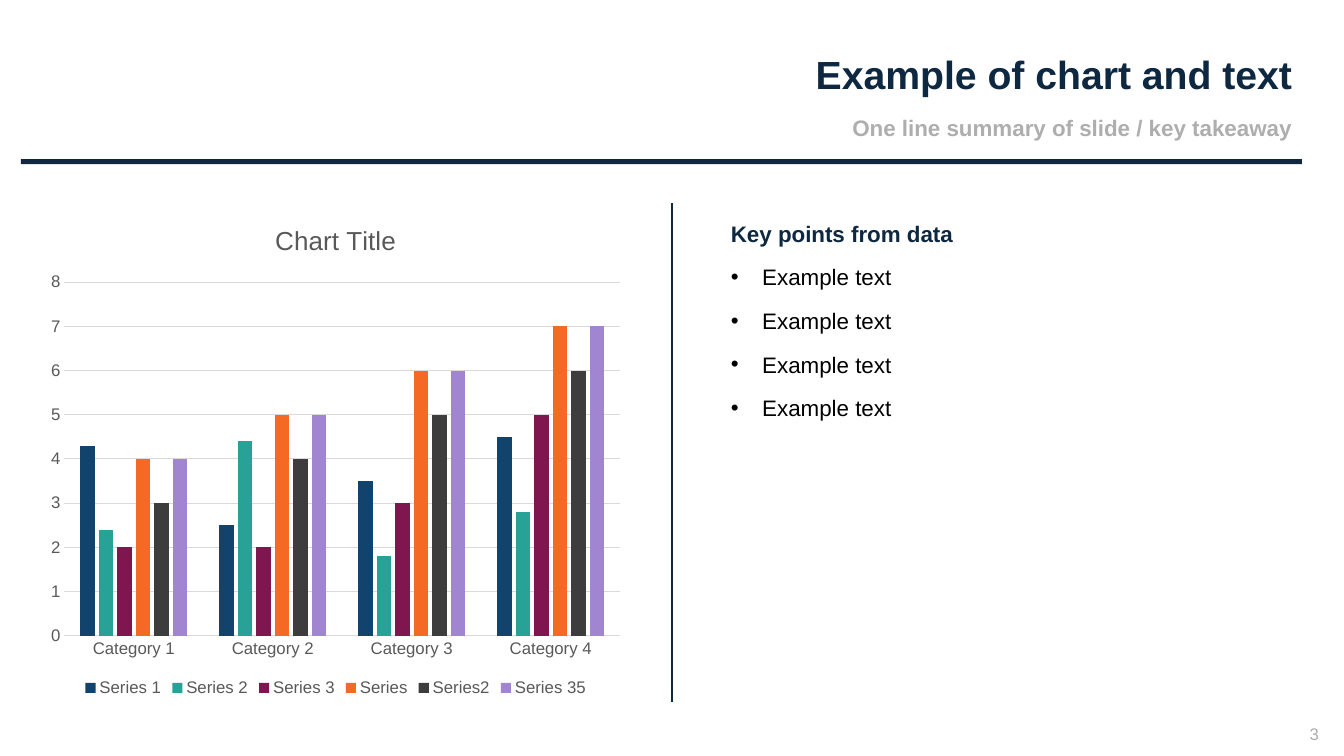
import pptx
import pptx.util
import pptx.chart.data
import pptx.dml.color
import pptx.enum.chart
import pptx.enum.shapes
import pptx.enum.text
import pptx.oxml
import pptx.oxml.ns

Cm = pptx.util.Cm
Pt = pptx.util.Pt
ALIGN = pptx.enum.text.PP_ALIGN
ANCHOR = pptx.enum.text.MSO_ANCHOR
FIT = pptx.enum.text.MSO_AUTO_SIZE

COLORS = {"navy": "0E2841", "grey": "AEAEAE", "label": "595959", "grid": "D9D9D9", "black": "000000"}
CATEGORIES = ["Category 1", "Category 2", "Category 3", "Category 4"]
SERIES = [
    ("Series 1", (4.3, 2.5, 3.5, 4.5), "12436D"),
    ("Series 2", (2.4, 4.4, 1.8, 2.8), "28A197"),
    ("Series 3", (2, 2, 3, 5), "801650"),
    ("Series", (4, 5, 6, 7), "F46A25"),
    ("Series2", (3, 4, 5, 6), "3D3D3D"),
    ("Series 35", (4, 5, 6, 7), "A285D1"),
]


def style_font(font, size, color, bold=False):
    font.name = "Arial"
    font.size = Pt(size)
    font.bold = bold
    font.color.rgb = pptx.dml.color.RGBColor.from_string(COLORS[color])


def prepare_frame(holder, anchor, fit):
    frame = holder.text_frame
    frame.margin_left = frame.margin_right = frame.margin_top = frame.margin_bottom = 0
    frame.word_wrap = True
    frame.auto_size = fit
    frame.vertical_anchor = anchor
    return frame


deck = pptx.Presentation()
deck.slide_width, deck.slide_height = Cm(33.87), Cm(19.05)
slide = deck.slides.add_slide(deck.slide_layouts[5])

divider = slide.shapes.add_connector(
    pptx.enum.shapes.MSO_CONNECTOR.STRAIGHT, Cm(16.93), Cm(5.11), Cm(16.93), Cm(17.68))
divider.line.color.rgb = pptx.dml.color.RGBColor.from_string(COLORS["navy"])
divider.line.width = Pt(1.5)
divider._element.spPr.append(pptx.oxml.parse_xml(f'<a:effectLst {pptx.oxml.ns.nsdecls("a")}/>'))

header_rule = slide.shapes.add_shape(
    pptx.enum.shapes.MSO_SHAPE.RECTANGLE, Cm(0.53), Cm(4.01), Cm(32.28), Cm(0.13))
header_rule.shadow.inherit = False
header_rule.fill.solid()
header_rule.fill.fore_color.rgb = pptx.dml.color.RGBColor.from_string(COLORS["navy"])
header_rule.line.fill.background()

title = slide.shapes.title
title.left, title.top, title.width, title.height = Cm(11.43), Cm(1.4), Cm(21.13), Cm(1.07)
title_frame = prepare_frame(title, ANCHOR.BOTTOM, FIT.SHAPE_TO_FIT_TEXT)
title_frame.text = "Example of chart and text"
title_line = title_frame.paragraphs[0]
title_line.alignment = ALIGN.RIGHT
title_line.line_spacing = 0.9
style_font(title_line.runs[0].font, 28, "navy", True)

summary = slide.shapes.add_textbox(Cm(0.53), Cm(2.95), Cm(32.03), Cm(0.61))
summary_frame = prepare_frame(summary, ANCHOR.TOP, FIT.NONE)
summary_frame.text = "One line summary of slide / key takeaway"
summary_line = summary_frame.paragraphs[0]
summary_line.alignment = ALIGN.RIGHT
summary_line.line_spacing = 0.9
summary_line.space_before = Pt(10)
style_font(summary_line.runs[0].font, 16, "grey", True)

page_number = slide.shapes.add_textbox(Cm(31.67), Cm(18.24), Cm(1.57), Cm(0.51))
page_frame = prepare_frame(page_number, ANCHOR.MIDDLE, FIT.SHAPE_TO_FIT_TEXT)
page_frame.text = "3"
page_frame.paragraphs[0].alignment = ALIGN.RIGHT
style_font(page_frame.paragraphs[0].runs[0].font, 12, "grey")

key_points = slide.shapes.add_textbox(Cm(18.42), Cm(5.54), Cm(13.54), Cm(1.8))
points_frame = prepare_frame(key_points, ANCHOR.TOP, FIT.SHAPE_TO_FIT_TEXT)
points_frame.text = "\n".join(["Key points from data"] + ["Example text"] * 4)
for index, point in enumerate(points_frame.paragraphs):
    point.space_after = Pt(12)
    is_heading = index == 0
    style_font(point.runs[0].font, 16, "navy" if is_heading else "black", is_heading)
    if not is_heading:
        point.level = 1
        properties = point._p.get_or_add_pPr()
        properties.set("marL", str(Cm(0.79)))
        properties.set("indent", str(-Cm(0.79)))
        for bullet in ('buFont {} typeface="Arial"', 'buChar {} char="•"'):
            properties.append(pptx.oxml.parse_xml(f'<a:{bullet.format(pptx.oxml.ns.nsdecls("a"))}/>'))

chart_data = pptx.chart.data.CategoryChartData()
chart_data.categories = CATEGORIES
for name, values, color in SERIES:
    chart_data.add_series(name, values)
chart = slide.shapes.add_chart(
    pptx.enum.chart.XL_CHART_TYPE.COLUMN_CLUSTERED,
    Cm(0.99), Cm(5.11), Cm(14.94), Cm(12.55), chart_data).chart
style_font(chart.font, 10, "black")

chart.has_title = True
chart.chart_title.include_in_layout = False
chart.chart_title.text_frame.text = "Chart Title"
style_font(chart.chart_title.text_frame.paragraphs[0].runs[0].font, 18.6, "label")

chart.has_legend = True
chart.legend.position = pptx.enum.chart.XL_LEGEND_POSITION.BOTTOM
chart.legend.include_in_layout = False
style_font(chart.legend.font, 12, "label")

columns = chart.plots[0]
columns.vary_by_categories = False
columns.gap_width = 219
columns.overlap = -27
for series, (name, values, color) in zip(columns.series, SERIES):
    series.format.fill.solid()
    series.format.fill.fore_color.rgb = pptx.dml.color.RGBColor.from_string(color)
    series.invert_if_negative = False

for axis in (chart.category_axis, chart.value_axis):
    axis.major_tick_mark = axis.minor_tick_mark = pptx.enum.chart.XL_TICK_MARK.NONE
    style_font(axis.tick_labels.font, 12, "label")
chart.value_axis.minimum_scale = 0
chart.value_axis.maximum_scale = 8
chart.value_axis.major_unit = 1
chart.value_axis.has_major_gridlines = True
chart.value_axis.format.line.fill.background()
for line in (chart.category_axis.format.line, chart.value_axis.major_gridlines.format.line):
    line.color.rgb = pptx.dml.color.RGBColor.from_string(COLORS["grid"])
    line.width = Pt(0.75)

deck.save("out.pptx")
